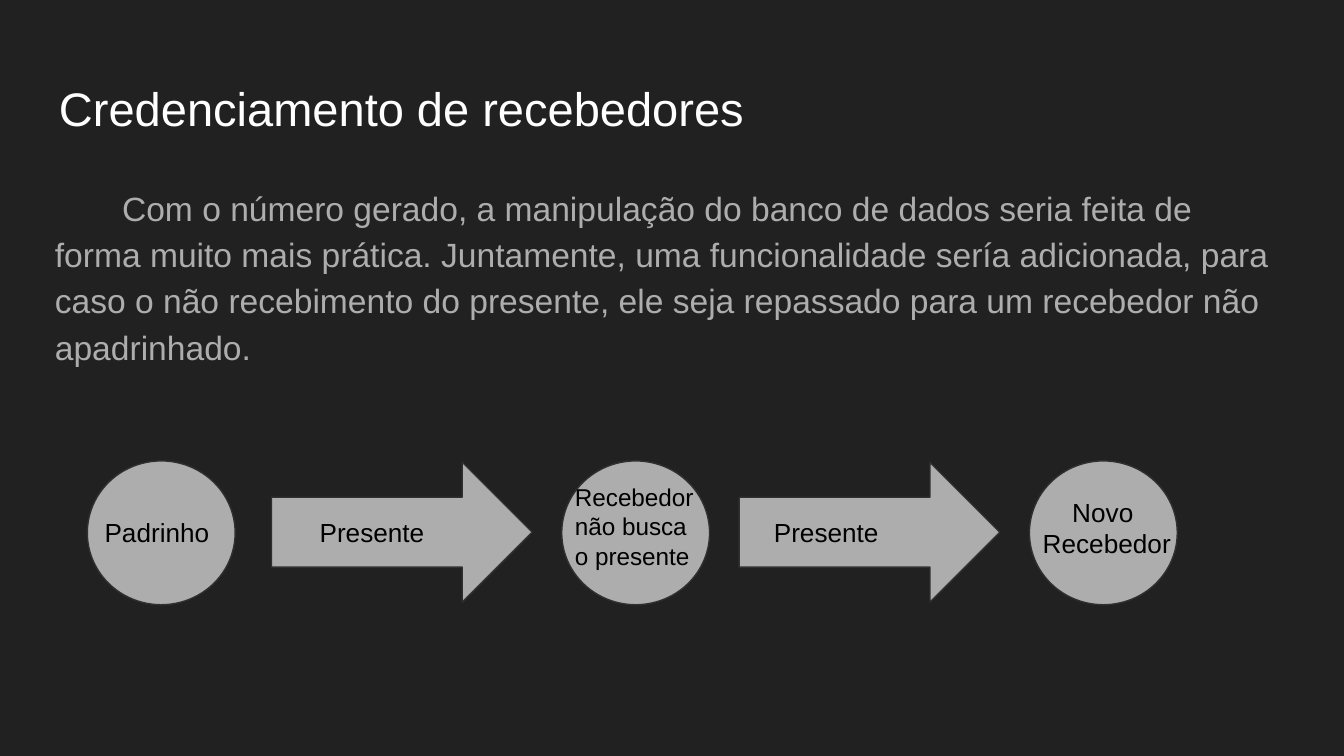
from pptx import Presentation
from pptx.dml.color import RGBColor
from pptx.enum.shapes import MSO_SHAPE
from pptx.enum.text import MSO_ANCHOR
from pptx.util import Inches, Pt

CIRCLE, ARROW = MSO_SHAPE.OVAL, MSO_SHAPE.RIGHT_ARROW
TOP, MIDDLE = MSO_ANCHOR.TOP, MSO_ANCHOR.MIDDLE
BACKGROUND, WHITE, GREY, BLACK, OUTLINE = "212121", "FFFFFF", "ADADAD", "000000", "303030"


def paint(fill, color):
    fill.solid()
    fill.fore_color.rgb = RGBColor.from_string(color)


def add_text(s, text, x, y, w, h, size=14, color=BLACK, anchor=TOP,
             indent=0, spacing=1, after=0):
    tf = s.shapes.add_textbox(Inches(x), Inches(y), Inches(w), Inches(h)).text_frame
    tf.word_wrap = True
    tf.vertical_anchor = anchor
    tf.margin_left = tf.margin_right = tf.margin_top = tf.margin_bottom = Inches(0.1)
    for i, line in enumerate(text.split("\n")):
        p = tf.paragraphs[0] if i == 0 else tf.add_paragraph()
        p.line_spacing = spacing
        p.space_after = Pt(after)
        if indent:
            p._p.get_or_add_pPr().set("indent", str(Inches(indent)))
        r = p.add_run()
        r.text = line
        r.font.name = "Arial"
        r.font.size = Pt(size)
        paint(r.font.fill, color)


def add_node(s, kind, x, y, w, h):
    sp = s.shapes.add_shape(kind, Inches(x), Inches(y), Inches(w), Inches(h))
    sp.shadow.inherit = False
    paint(sp.fill, GREY)
    paint(sp.line.fill, OUTLINE)
    sp.line.width = Pt(0.75)


def add_heading(s, x, y, w):
    add_text(s, "Credenciamento de recebedores", x + 0.03, y, w, 0.63,
             size=25.2, color=WHITE, anchor=MIDDLE)
    add_text(s, "Com o número gerado, a manipulação do banco de dados seria feita de "
                "forma muito mais prática. Juntamente, uma funcionalidade sería "
                "adicionada, para caso o não recebimento do presente, ele seja "
                "repassado para um recebedor não apadrinhado.",
             x, y + 0.76, w, 3.74, size=18, color=GREY,
             indent=0.5, spacing=1.15, after=12)


def add_flow(s, x, y):
    # Circles and the arrows between them
    for dx in (0, 3.53, 7.01):
        add_node(s, CIRCLE, x + dx, y, 1.1, 1.07)
    for dx in (1.37, 4.85):
        add_node(s, ARROW, x + dx, y + 0.01, 1.94, 1.04)

    # Labels: text, offset, size of box, format
    labels = [
        ("Padrinho", 0.03, 0.31, 1.04, 0.44, {}),
        ("Presente", 1.63, 0.31, 1.04, 0.44, {}),
        ("Recebedor\nnão busca o presente", 3.53, 0.06, 1.16, 0.86, {"size": 13}),
        ("Presente", 5.01, 0.31, 1.04, 0.44, {}),
        ("Novo Recebedor", 7.01, 0.16, 1.16, 0.67, {"indent": 0.22}),
    ]
    for text, dx, dy, w, h, style in labels:
        add_text(s, text, x + dx, y + dy, w, h, **style)


def main():
    prs = Presentation()
    # Widescreen, 16:9
    prs.slide_width, prs.slide_height = Inches(10), Inches(10 * 9 / 16)
    s = prs.slides.add_slide(prs.slide_layouts[6])
    paint(s.background.fill, BACKGROUND)
    add_heading(s, 0.31, 0.49, 9.32)
    add_flow(s, 0.65, 3.43)
    prs.save("out.pptx")


if __name__ == "__main__":
    main()
